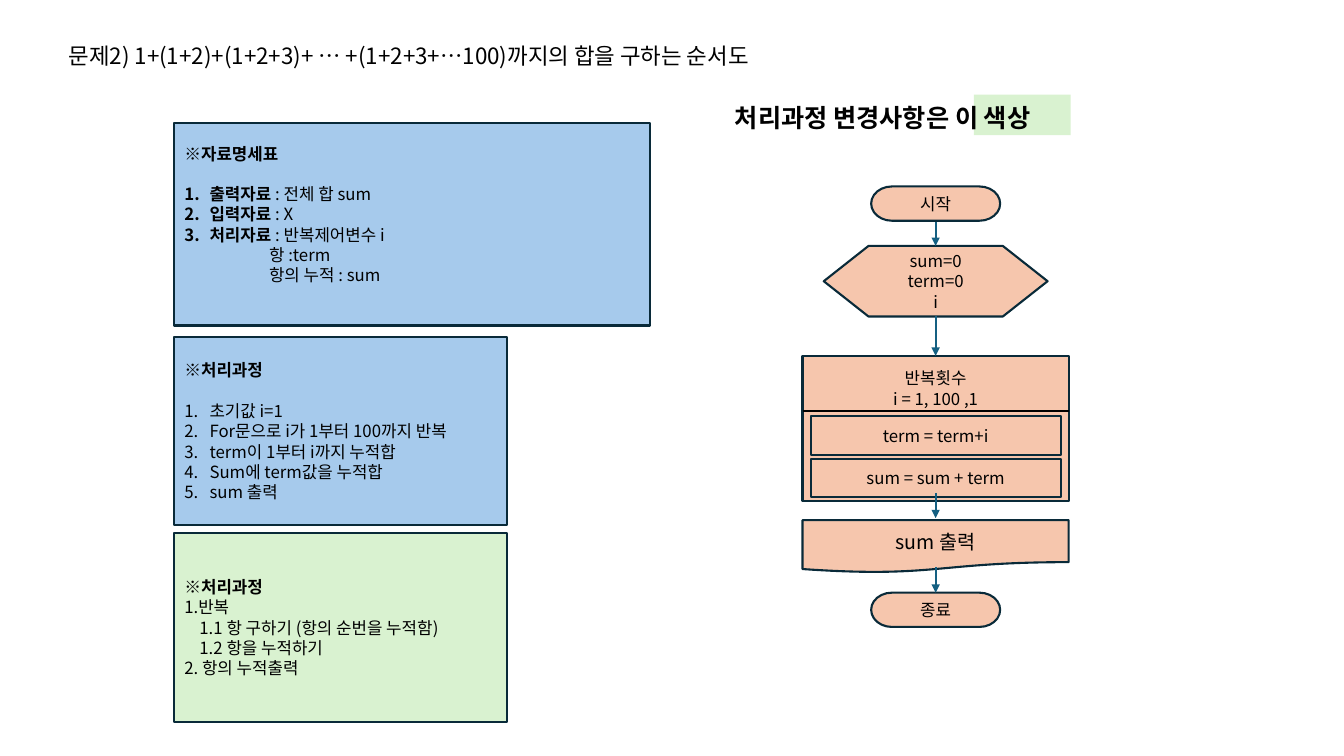
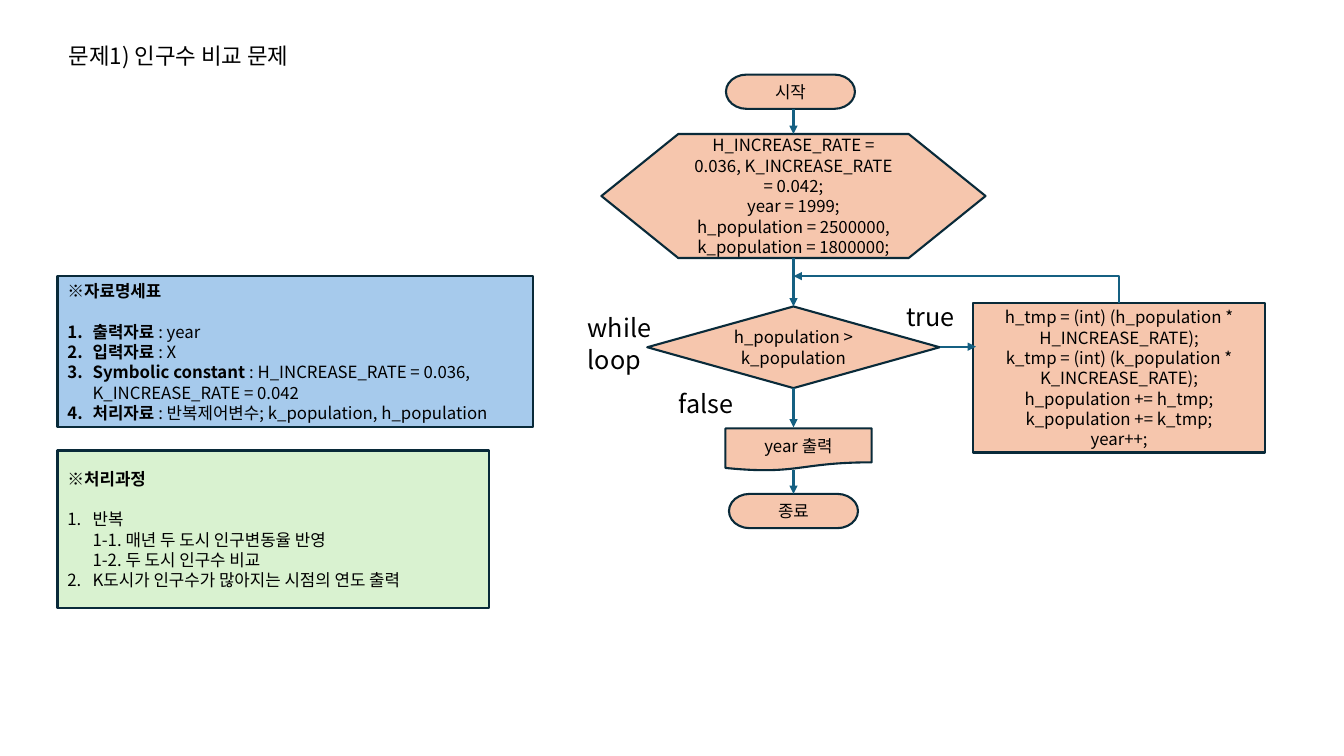
from typing import NamedTuple

from lxml import etree
from pptx import Presentation
from pptx.dml.color import RGBColor
from pptx.enum import shapes, text
from pptx.oxml import ns
from pptx.util import Inches, Pt

FONT = "Noto Sans CJK KR"
PEACH = RGBColor(0xF6, 0xC6, 0xAD)
BLUE = RGBColor(0xA6, 0xCA, 0xEC)
GREEN = RGBColor(0xD9, 0xF2, 0xD0)
OUTLINE = RGBColor(0x09, 0x2A, 0x39)
ARROW = RGBColor(0x15, 0x60, 0x82)
BLACK = RGBColor(0, 0, 0)

KIND = shapes.MSO_SHAPE
CENTER = text.PP_ALIGN.CENTER
LEFT = text.PP_ALIGN.LEFT
TOP = text.MSO_ANCHOR.TOP
MIDDLE = text.MSO_ANCHOR.MIDDLE
LINE_HEIGHT = {12: 14.5, 14: 17, 16: 20, 18: 22.5}
TERMINATOR = (1.28, 0.34)


class Line(NamedTuple):
    """One paragraph of a panel: a bold lead, then plain text."""
    lead: str = ""
    plain: str = ""
    numbered: bool = False
    indent: float = 0


def step(lead="", plain=""):
    return Line(lead, plain, numbered=True)


# Text
def style_paragraph(para, size=12, bold=False, align=LEFT):
    para.alignment = align
    para.line_spacing = Pt(LINE_HEIGHT[size])
    font = para.font
    font.size, font.bold, font.name = Pt(size), bold, FONT
    font.color.rgb = BLACK
    latin = font._element.find(ns.qn("a:latin"))
    east_asian = etree.Element(ns.qn("a:ea"), typeface=FONT)
    latin.addnext(east_asian)


def indent_paragraph(para, left, numbered):
    properties = para._p.get_or_add_pPr()
    properties.set("marL", str(Inches(left)))
    properties.set("indent", str(Inches(-left if numbered else 0)))
    if numbered:
        number = etree.Element(ns.qn("a:buAutoNum"), type="arabicPeriod")
        properties.find(ns.qn("a:defRPr")).addprevious(number)


def paragraphs(frame, count):
    return [frame.paragraphs[0]] + [frame.add_paragraph() for _ in range(count - 1)]


def write_lines(frame, lines, size=12, bold=False, align=LEFT):
    frame.word_wrap = True
    for para, words in zip(paragraphs(frame, len(lines)), lines):
        para.text = words
        style_paragraph(para, size, bold, align)


def add_title(page, words, width):
    title = page.shapes.title
    title.left, title.top = Inches(0.58), Inches(0.36)
    title.width, title.height = Inches(width), Inches(0.37)
    frame = title.text_frame
    frame.auto_size = text.MSO_AUTO_SIZE.NONE
    frame.vertical_anchor = TOP
    write_lines(frame, [words], size=16)


def add_label(page, words, left, top, width=0.95, height=0.4, bold=False):
    box = page.shapes.add_textbox(*map(Inches, (left, top, width, height)))
    write_lines(box.text_frame, [words], size=18, bold=bold)


# Boxes
def add_box(page, kind, left, top, width, height, fill=None, outlined=True):
    box = page.shapes.add_shape(kind, *map(Inches, (left, top, width, height)))
    box.shadow.inherit = False
    if fill is None:
        box.fill.background()
    else:
        box.fill.solid()
        box.fill.fore_color.rgb = fill
    if outlined:
        box.line.color.rgb = OUTLINE
        box.line.width = Pt(1.5)
    else:
        box.line.fill.background()
    box.text_frame.vertical_anchor = MIDDLE
    return box


def add_node(page, kind, center, top, size, lines, points=12, fill=PEACH):
    """A flowchart symbol centred on a vertical axis."""
    width, height = size
    box = add_box(page, kind, center - width / 2, top, width, height, fill)
    write_lines(box.text_frame, lines, points, align=CENTER)
    return box


def add_panel(page, left, top, width, height, fill, heading, lines, gap=14.5, bottom=0.05):
    """A note with a bold heading over numbered or indented lines."""
    frame = add_box(page, KIND.RECTANGLE, left, top, width, height, fill).text_frame
    frame.word_wrap = True
    frame.margin_bottom = Inches(bottom)
    head, *rest = paragraphs(frame, len(lines) + 1)
    head.text = heading
    style_paragraph(head, bold=True)
    head.space_after = Pt(gap)
    for para, line in zip(rest, lines):
        style_paragraph(para)
        if line.lead:
            span = para.add_run()
            span.text = line.lead
            span.font.bold = True
        for number, part in enumerate(line.plain.split("\n")):
            if number:
                para.add_line_break()
            para.add_run().text = part
        indent_paragraph(para, 0.25 if line.numbered else line.indent, line.numbered)


# Lines
def style_line(line, color, arrow):
    line.line.color.rgb = color
    line.line.width = Pt(1.5)
    etree.SubElement(line._element.spPr, ns.qn("a:effectLst"))
    if arrow:
        outline = line.line._get_or_add_ln()
        etree.SubElement(outline, ns.qn("a:tailEnd"), type="triangle")


def add_line(page, start, end, color=ARROW, arrow=True):
    line = page.shapes.add_connector(
        shapes.MSO_CONNECTOR.STRAIGHT, *map(Inches, (*start, *end)))
    style_line(line, color, arrow)
    return line


def add_down_arrows(page, center, spans):
    return [add_line(page, (center, top), (center, bottom)) for top, bottom in spans]


def add_return_arrow(page, start, end):
    """An elbow that rises from start, then runs left to end."""
    rise, run = start[1] - end[1], start[0] - end[0]
    middle_x, middle_y = (start[0] + end[0]) / 2, (start[1] + end[1]) / 2
    left, top = middle_x - rise / 2, middle_y - run / 2
    line = page.shapes.add_connector(
        shapes.MSO_CONNECTOR.ELBOW, *map(Inches, (left, top, left + rise, top + run)))
    properties = line._element.spPr
    properties.find(ns.qn("a:prstGeom")).set("prst", "bentConnector2")
    frame = properties.find(ns.qn("a:xfrm"))
    frame.set("rot", str(270 * 60000))
    frame.set("flipV", "1")
    style_line(line, ARROW, True)


# Regions
def add_loop_box(page, center, top, header, actions):
    """A repeat block: header above a rule, one inner box per action."""
    width, height = 2.64, 1.44
    box = add_node(page, KIND.RECTANGLE, center, top, (width, height), header)
    box.text_frame.vertical_anchor = TOP
    box.text_frame.margin_top = Inches(0.12)
    rule = top + 0.55
    add_line(page, (center - width / 2, rule), (center + width / 2, rule), BLACK, arrow=False)
    for row, action in enumerate(actions):
        add_node(page, KIND.RECTANGLE, center, rule + 0.05 + row * 0.42,
                 (2.48, 0.38), [action], fill=None)
    return box


def add_legend(page, left, top):
    add_box(page, KIND.RECTANGLE, left + 2.47, top, 0.96, 0.4, GREEN, outlined=False)
    add_label(page, "처리과정 변경사항은 이 색상", left, top + 0.01, 3.51, bold=True)


def add_sum_flowchart(page, center, top):
    add_node(page, KIND.FLOWCHART_TERMINATOR, center, top, TERMINATOR, ["시작"])
    add_node(page, KIND.FLOWCHART_PREPARATION, center, top + 0.59, (2.22, 0.7),
             ["sum=0", "term=0", "i"])
    loop = add_loop_box(page, center, top + 1.68, ["반복횟수", "i = 1, 100 ,1"],
                        ["term = term+i", "sum = sum + term"])
    add_node(page, KIND.FLOWCHART_DOCUMENT, center, top + 3.31, (2.64, 0.52),
             ["sum 출력"], points=14)
    add_node(page, KIND.FLOWCHART_TERMINATOR, center, top + 4.03, TERMINATOR, ["종료"])
    spans = [(0.35, 0.59), (1.29, 1.68), (3.04, 3.29), (3.78, 4.03)]
    arrows = add_down_arrows(page, center, [(top + a, top + b) for a, b in spans])
    arrows[1].end_connect(loop, 0)


def add_population_flowchart(page, center, top):
    add_node(page, KIND.FLOWCHART_TERMINATOR, center - 0.03, top, TERMINATOR, ["시작"])
    add_node(page, KIND.FLOWCHART_PREPARATION, center, top + 0.59, (3.81, 1.23), [
        "H_INCREASE_RATE = 0.036, K_INCREASE_RATE = 0.042;",
        "year = 1999;",
        "h_population = 2500000, k_population = 1800000;"])
    add_node(page, KIND.FLOWCHART_DECISION, center, top + 2.3, (2.9, 0.81),
             ["h_population > k_population"])
    add_node(page, KIND.RECTANGLE, center + 3.23, top + 2.27, (2.9, 1.48), [
        "h_tmp = (int) (h_population * H_INCREASE_RATE);",
        "k_tmp = (int) (k_population * K_INCREASE_RATE);",
        "h_population += h_tmp;",
        "k_population += k_tmp;",
        "year++;"])
    add_node(page, KIND.FLOWCHART_DOCUMENT, center + 0.05, top + 3.51, (1.45, 0.42),
             ["year 출력"])
    add_node(page, KIND.FLOWCHART_TERMINATOR, center, top + 4.16, TERMINATOR, ["종료"])

    spans = [(0.34, 0.59), (1.82, 2.3), (3.11, 3.5), (3.92, 4.16)]
    add_down_arrows(page, center, [(top + a, top + b) for a, b in spans])
    add_line(page, (center + 1.45, top + 2.7), (center + 1.81, top + 2.7))
    add_return_arrow(page, (center + 3.23, top + 2.27), (center, top + 2))

    add_label(page, "true", center + 1.02, top + 2.19)
    add_label(page, "false", center - 1.24, top + 3.05)
    add_label(page, "while loop", center - 2.14, top + 2.3, height=0.71)


# Slides
def build_sum_slide(page):
    add_title(page, "문제2) 1+(1+2)+(1+2+3)+ … +(1+2+3+…100)까지의 합을 구하는 순서도", 10.01)
    left = 1.73
    add_panel(page, left, 1.22, 4.72, 2.01, BLUE, "※자료명세표", [
        step("출력자료 ", ": 전체 합 sum"),
        step("입력자료 ", ": X"),
        step("처리자료 ", ": 반복제어변수 i"),
        Line(plain="항 :term", indent=0.84),
        Line(plain="항의 누적 : sum", indent=0.84)], bottom=0.25)
    add_panel(page, left, 3.34, 3.3, 1.87, BLUE, "※처리과정", [
        step(plain=words) for words in (
            "초기값 i=1", "For문으로 i가 1부터 100까지 반복", "term이 1부터 i까지 누적합",
            "Sum에 term값을 누적합", "sum 출력")])
    add_panel(page, left, 5.29, 3.3, 1.87, GREEN, "※처리과정", [
        Line(plain="1.반복"),
        Line(plain="1.1 항 구하기 (항의 순번을 누적함)", indent=0.15),
        Line(plain="1.2 항을 누적하기", indent=0.15),
        Line(plain="2. 항의 누적출력")], gap=0)
    add_legend(page, 7.19, 0.94)
    add_sum_flowchart(page, 9.28, 1.85)


def build_population_slide(page):
    add_title(page, "문제1) 인구수 비교 문제", 4.72)
    left = 0.57
    add_panel(page, left, 2.74, 4.72, 1.5, BLUE, "※자료명세표", [
        step("출력자료 ", ": year"),
        step("입력자료 ", ": X"),
        step("Symbolic constant ", ": H_INCREASE_RATE = 0.036, K_INCREASE_RATE = 0.042"),
        step("처리자료 ", ": 반복제어변수; k_population, h_population")])
    add_panel(page, left, 4.47, 4.28, 1.56, GREEN, "※처리과정", [
        step(plain="반복\n1-1. 매년 두 도시 인구변동율 반영\n1-2. 두 도시 인구수 비교"),
        step(plain="K도시가 인구수가 많아지는 시점의 연도 출력")])
    add_population_flowchart(page, 7.87, 0.74)


def main():
    deck = Presentation()
    deck.slide_width, deck.slide_height = Inches(13.33), Inches(7.5)
    title_only = deck.slide_layouts[5]
    for build in (build_sum_slide, build_population_slide):
        build(deck.slides.add_slide(title_only))
    deck.save("out.pptx")


if __name__ == "__main__":
    main()
